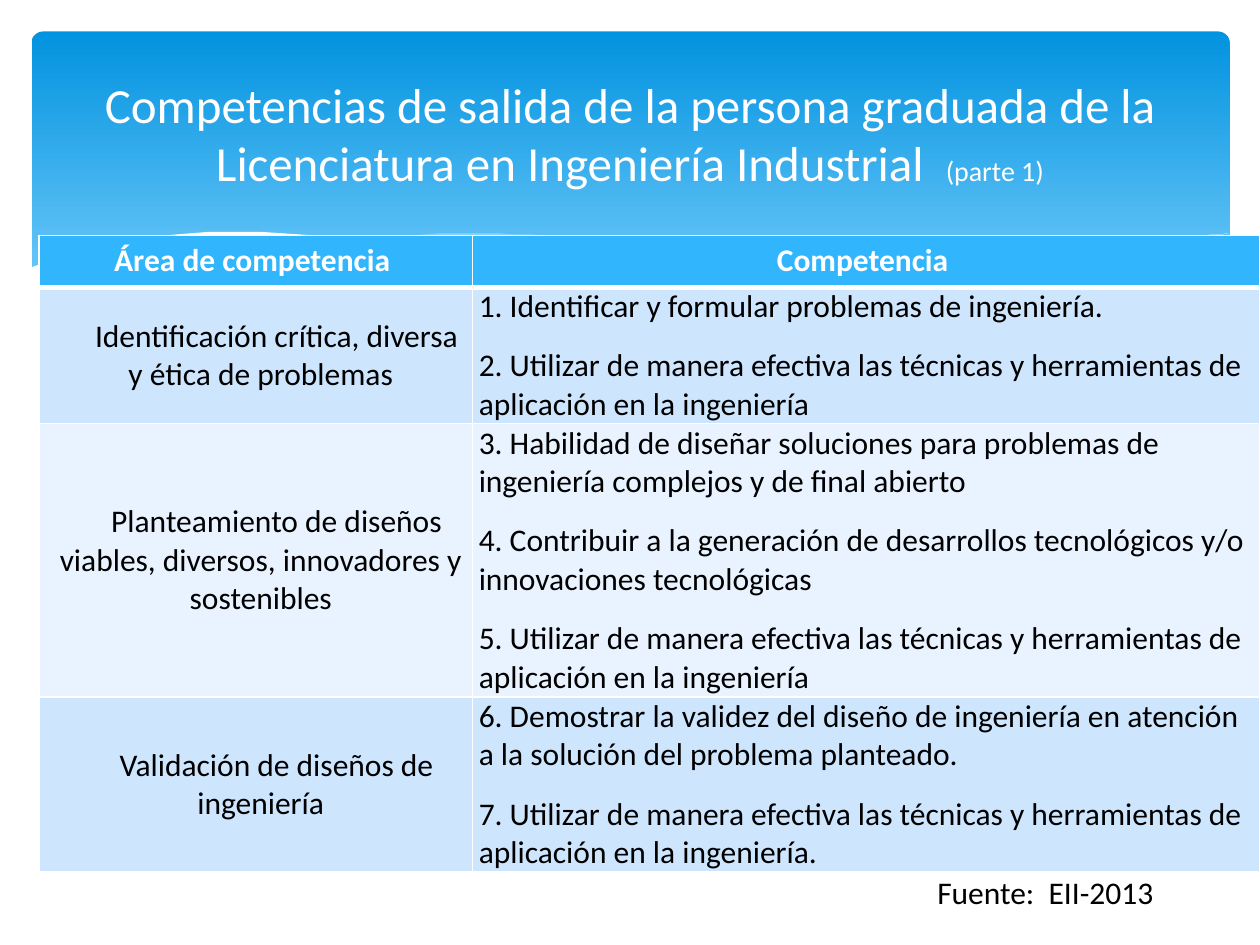
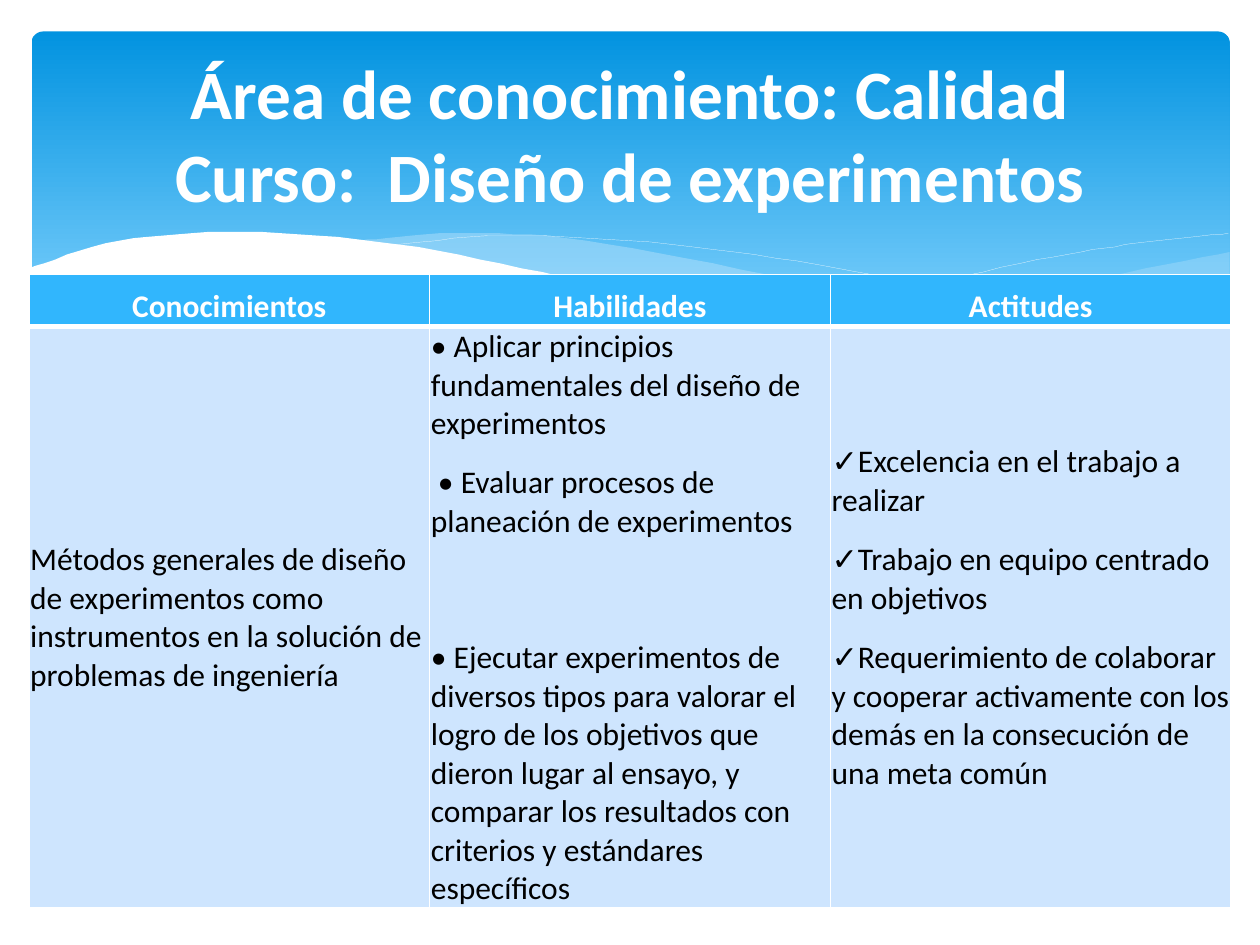
"""Build two slides on graduate competencies and a course, under a shared wave band."""
import pptx
import pptx.dml.color
import pptx.enum.shapes
import pptx.enum.text
import pptx.oxml
import pptx.oxml.ns
import pptx.util

Inches = pptx.util.Inches
Pt = pptx.util.Pt
ALIGN = pptx.enum.text.PP_ALIGN
ANCHOR = pptx.enum.text.MSO_ANCHOR
qn = pptx.oxml.ns.qn

FONT = "Calibri"
WHITE, BLACK = "FFFFFF", "000000"
BAND_TOP, BAND_BOTTOM, MIST = "0293E0", "83D3FE", "C6E7FC"
HEADER_FILL, ROW_FILLS = "31B6FD", ["CEE5FE", "E8F3FF"]
NAMESPACE = pptx.oxml.ns.nsdecls("a")

STEPS_PER_SPAN = 8
RIGHT_SWELL = dict(opacity=29, color=MIST, edges=[
    [(9.76, 2), (8.61, 2.23), (7.53, 2.48), (6.61, 2.65)],
    [(6.61, 2.65), (7.45, 2.75), (8.24, 2.77), (9.05, 2.69), (9.76, 2.47)]])
MIDDLE_SWELL = dict(opacity=40, color=MIST, edges=[
    [(2.86, 1.91), (3.61, 1.85), (4.65, 1.91), (6.29, 2.22), (7.75, 2.54), (8.93, 2.73)],
    [(8.93, 2.73), (8.07, 2.78), (7.09, 2.72), (5.84, 2.52), (4.49, 2.22), (2.86, 1.91)]])
FALLING_LINE = dict(edges=[
    [(3.09, 1.95), (4.01, 1.87), (5.33, 1.94), (6.65, 2.13), (7.95, 2.41), (9.07, 2.72)]])
RISING_LINE = dict(edges=[[(6.13, 2.57), (7.2, 2.29), (8.36, 2.04), (9.1, 1.92), (9.75, 1.85)]])
WHITE_WAVE = dict(opacity=100, color=WHITE, edges=[
    [(0.23, 2.13), (0.95, 1.91), (1.93, 1.84), (3.16, 1.94), (4.47, 2.2),
     (5.79, 2.5), (7.08, 2.7), (8.23, 2.77), (9.1, 2.67), (9.77, 2.46)],
    [(9.77, 3.29), (0.23, 3.29)]])
WAVES = [RIGHT_SWELL, MIDDLE_SWELL, FALLING_LINE, RISING_LINE, WHITE_WAVE]

TECHNIQUES = "Utilizar de manera efectiva las técnicas y herramientas de aplicación en la ingeniería"
LAST_SKILL = ("• Ejecutar experimentos de diversos tipos para valorar el logro de los objetivos"
              " que dieron lugar al ensayo, y comparar los resultados con criterios y"
              " estándares específicos")

COMPETENCIES = dict(
    title=[("Competencias de salida de la persona graduada de la Licenciatura"
            " en Ingeniería Industrial  ", 28), ("(parte 1)", 16)],
    bold=False, left=0.31, top=1.87, widths=[3.44, 6.25], heights=[0.41, 1.07, 2.17, 1.39],
    header_margins=(0.1, 0.05, 0.1, 0.05), body_margins=(0.05, 0, 0.05, 0),
    header_anchor=ANCHOR.TOP, first_column=dict(align=ALIGN.CENTER, left=0.08, indent=0.25),
    bullet_column=None, source="Fuente:  EII-2013",
    rows=[
        [["Área de competencia "], ["Competencia "]],
        [["Identificación crítica, diversa y ética de problemas"],
         ["1. Identificar y formular problemas de ingeniería.", f"2. {TECHNIQUES}"]],
        [["Planteamiento de diseños viables, diversos, innovadores y sostenibles"],
         ["3. Habilidad de diseñar soluciones para problemas de ingeniería complejos"
          " y de final abierto",
          "4. Contribuir a la generación de desarrollos tecnológicos y/o"
          " innovaciones tecnológicas",
          f"5. {TECHNIQUES}"]],
        [["Validación de diseños de ingeniería"],
         ["6. Demostrar la validez del diseño de ingeniería en atención a la solución"
          " del problema planteado.",
          f"7. {TECHNIQUES}."]]])
COURSE = dict(
    title=[("Área de conocimiento: Calidad\nCurso:  Diseño de experimentos", 39.6)],
    bold=True, left=0.23, top=2.18, widths=[3.18] * 3, heights=[0.41, 4.61],
    header_margins=(0.01, 0.01, 0.01, 0), body_margins=(0.01, 0.01, 0.01, 0),
    header_anchor=ANCHOR.BOTTOM, first_column={}, bullet_column=2, source=None,
    rows=[
        [["Conocimientos"], ["Habilidades"], ["Actitudes"]],
        [["Métodos generales de diseño de experimentos como instrumentos en la solución"
          " de problemas de ingeniería"],
         ["• Aplicar principios fundamentales del diseño de experimentos",
          " • Evaluar procesos de planeación de experimentos",
          LAST_SKILL],
         ["Excelencia en el trabajo a realizar",
          "Trabajo en equipo centrado en objetivos",
          "Requerimiento de colaborar y cooperar activamente con los demás en la"
          " consecución de una meta común"]]])


def paint(fill, color, opacity=100):
    """Fill with a solid hex colour at an opacity in percent."""
    fill.solid()
    fill.fore_color.rgb = pptx.dml.color.RGBColor.from_string(color)
    if opacity < 100:
        solid = fill._xPr.find(qn("a:solidFill"))
        solid[0].append(pptx.oxml.parse_xml(f'<a:alpha {NAMESPACE} val="{opacity * 1000}"/>'))


def write(paragraph, text, size=18, color=BLACK, bold=False, align=ALIGN.LEFT,
          before=0, after=0, left=0, indent=0, bullet=None):
    """Append formatted text to a paragraph."""
    paragraph.alignment = align
    paragraph.space_before, paragraph.space_after = Pt(before), Pt(after)
    properties = paragraph._p.get_or_add_pPr()
    properties.set("marL", str(Inches(left)))
    properties.set("indent", str(Inches(indent)))
    if bullet:
        for markup in (f'buFont {NAMESPACE} typeface="{FONT}"', f'buChar {NAMESPACE} char="{bullet}"'):
            properties.append(pptx.oxml.parse_xml(f"<a:{markup}/>"))
    for number, line in enumerate(text.split("\n")):
        if number:
            paragraph.add_line_break()
        run = paragraph.add_run()
        run.text = line
        run.font.name, run.font.size, run.font.bold = FONT, Pt(size), bold
        paint(run.font.fill, color)


presentation = pptx.Presentation()
presentation.slide_width, presentation.slide_height = Inches(10), Inches(7.5)

for content in (COMPETENCIES, COURSE):
    slide = presentation.slides.add_slide(presentation.slide_layouts[5])

    band = slide.shapes.add_shape(
        pptx.enum.shapes.MSO_SHAPE.ROUNDED_RECTANGLE,
        Inches(0.25), Inches(0.25), Inches(9.51), Inches(2.7))
    band.adjustments[0] = 0.034
    band.shadow.inherit = False
    band.line.fill.background()
    band.fill.gradient()
    band.fill.gradient_angle = 270
    for stop, position, color in zip(band.fill.gradient_stops, (0, 0.9), (BAND_TOP, BAND_BOTTOM)):
        stop.position = position
        stop.color.rgb = pptx.dml.color.RGBColor.from_string(color)

    for wave in WAVES:
        outline = []
        for knots in wave["edges"]:
            padded = [knots[0], *knots, knots[-1]]
            for span in zip(padded, padded[1:], padded[2:], padded[3:]):
                for step in range(STEPS_PER_SPAN):
                    t = step / STEPS_PER_SPAN
                    outline.append([
                        50 * (2 * start + (end - before) * t
                              + (2 * before - 5 * start + 4 * end - after) * t ** 2
                              + (3 * start - before - 3 * end + after) * t ** 3)
                        for before, start, end, after in zip(*span)])
            outline.append([100 * coordinate for coordinate in knots[-1]])

        filled = "color" in wave
        builder = slide.shapes.build_freeform(*outline[0], scale=Inches(0.01))
        builder.add_line_segments(outline[1:], close=filled)
        shape = builder.convert_to_shape()
        shape.shadow.inherit = False
        if filled:
            paint(shape.fill, wave["color"], wave["opacity"])
            shape.line.fill.background()
        else:
            shape.fill.background()
            paint(shape.line.fill, WHITE)
            shape.line.width = Pt(0.1)

    table = slide.shapes.add_table(
        len(content["rows"]), len(content["widths"]), Inches(content["left"]),
        Inches(content["top"]), Inches(sum(content["widths"])),
        Inches(sum(content["heights"]))).table
    for column, width in zip(table.columns, content["widths"]):
        column.width = Inches(width)
    for row, height in zip(table.rows, content["heights"]):
        row.height = Inches(height)

    for row_index, row_texts in enumerate(content["rows"]):
        header = row_index == 0
        margins = content["header_margins" if header else "body_margins"]
        for column_index, texts in enumerate(row_texts):
            cell = table.cell(row_index, column_index)
            (cell.margin_left, cell.margin_top,
             cell.margin_right, cell.margin_bottom) = map(Inches, margins)
            cell.vertical_anchor = content["header_anchor"] if header else ANCHOR.MIDDLE
            for side in "LRTB":
                under_header = (row_index, side) in [(0, "B"), (1, "T")]
                cell._tc.get_or_add_tcPr().append(pptx.oxml.parse_xml(
                    f'<a:ln{side} {NAMESPACE} w="{Pt(3 if under_header else 1)}">'
                    f'<a:solidFill><a:srgbClr val="{WHITE}"/></a:solidFill></a:ln{side}>'))
            paint(cell.fill, HEADER_FILL if header else ROW_FILLS[(row_index - 1) % 2])

            if header:
                style = dict(color=WHITE, bold=True, align=ALIGN.CENTER)
            elif column_index == 0:
                style = content["first_column"]
            else:
                bullet = "✓" if column_index == content["bullet_column"] else None
                style = dict(before=6, after=6, bullet=bullet)
            for number, text in enumerate(texts):
                frame = cell.text_frame
                paragraph = frame.add_paragraph() if number else frame.paragraphs[0]
                wide_gap = dict(before=50) if text == LAST_SKILL else {}
                write(paragraph, text, **{**style, **wide_gap})

    title = slide.shapes.title
    title.left, title.top, title.width, title.height = map(Inches, (0.5, 0.37, 9, 1.37))
    title.text_frame.auto_size = pptx.enum.text.MSO_AUTO_SIZE.NONE
    title.text_frame.vertical_anchor = ANCHOR.MIDDLE
    for text, size in content["title"]:
        write(title.text_frame.paragraphs[0], text, size=size, color=WHITE,
              bold=content["bold"], align=ALIGN.CENTER)
    slide.shapes._spTree.append(title._element)

    if content["source"]:
        source = slide.shapes.add_textbox(Inches(7.34), Inches(6.88), Inches(1.92), Inches(0.4))
        source.text_frame.word_wrap = False
        write(source.text_frame.paragraphs[0], content["source"])

presentation.save("out.pptx")
